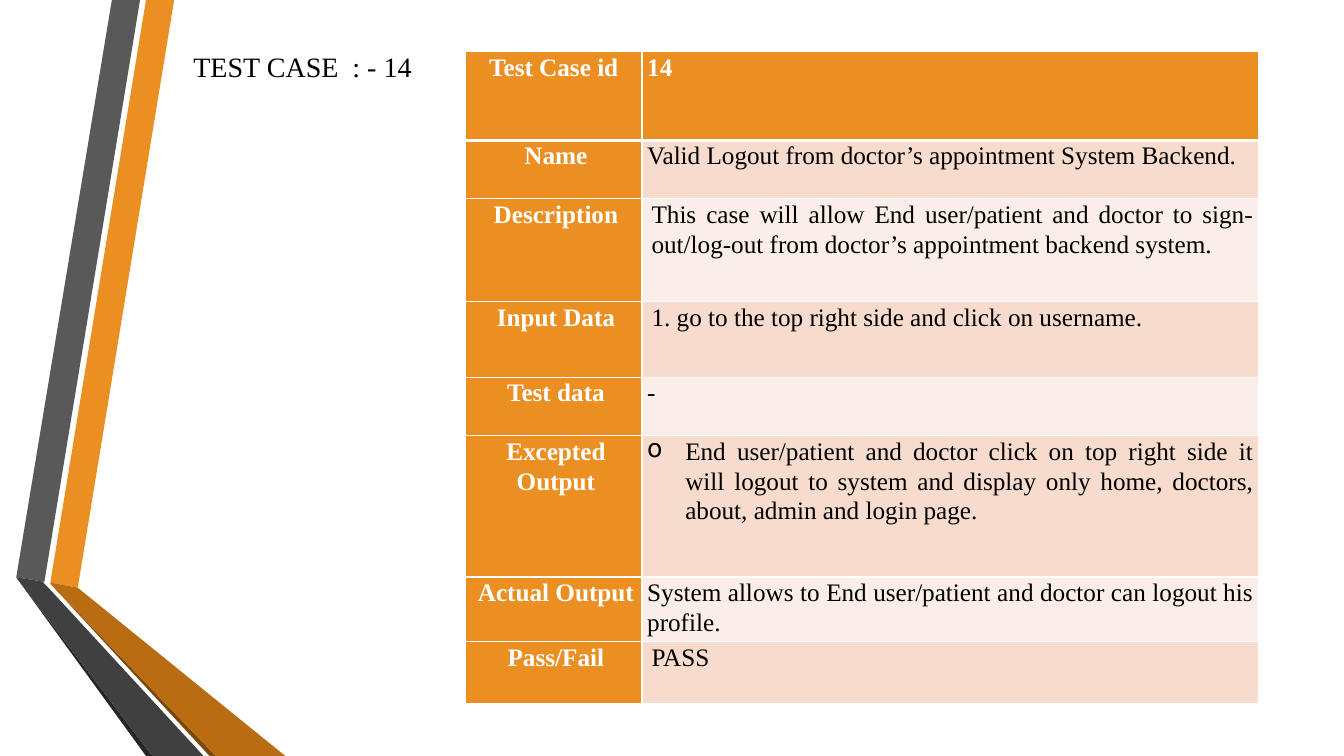
from dataclasses import dataclass

from lxml.etree import SubElement
from pptx import Presentation
from pptx.dml.color import RGBColor
from pptx.enum.text import MSO_ANCHOR, MSO_AUTO_SIZE, PP_ALIGN
from pptx.oxml.ns import qn
from pptx.slide import Slide
from pptx.table import _Cell
from pptx.util import Cm, Pt

FONT = "Times New Roman"
ORANGE = RGBColor(0xEB, 0x8F, 0x22)
AMBER = RGBColor(0xB9, 0x6C, 0x11)
BROWN = RGBColor(0x7B, 0x48, 0x0B)
GREY = RGBColor(0x59, 0x59, 0x59)
DARK_GREY = RGBColor(0x40, 0x40, 0x40)
CHARCOAL = RGBColor(0x26, 0x26, 0x26)
PEACH = RGBColor(0xF7, 0xDB, 0xCD)
PALE = RGBColor(0xFB, 0xEE, 0xE8)
WHITE = RGBColor(0xFF, 0xFF, 0xFF)
BLACK = RGBColor(0, 0, 0)

TABLE_LEFT, TABLE_TOP = 11.73, 1.3
COL_WIDTHS = (4.45, 15.54)
INDENT = 0.11


@dataclass
class Ribbon:
    color: RGBColor
    points: list[tuple[float, float]]


@dataclass
class Row:
    label: str
    value: str
    height: float
    indent: float = 0
    bullet: str = ""


RIBBONS = [
    Ribbon(ORANGE, [(1.27, 14.68), (1.96, 14.81), (4.39, 0), (3.68, 0)]),
    Ribbon(GREY, [(3.53, 0), (2.82, 0), (0.41, 14.55), (1.12, 14.66)]),
    Ribbon(CHARCOAL, [(0.41, 14.55), (3.68, 19.05), (3.84, 19.05)]),
    Ribbon(BROWN, [(1.27, 14.71), (5.28, 19.05), (5.44, 19.05)]),
    Ribbon(AMBER, [(1.27, 14.71), (5.44, 19.05), (7.19, 19.05), (1.96, 14.81), (1.27, 14.68)]),
    Ribbon(DARK_GREY, [(5.13, 19.05), (1.22, 14.81), (1.09, 14.68), (1.12, 14.66),
                       (0.41, 14.55), (3.84, 19.05)]),
]

ROWS = [
    Row("Test Case id", "14", 2.24),
    Row("Name", "Valid Logout from doctor’s appointment System Backend.", 1.47),
    Row("Description", "This case will allow End user/patient and doctor to sign-out/log-out "
        "from doctor’s appointment backend system.", 2.59, INDENT),
    Row("Input Data", "1. go to the top right side and click on username.", 1.91, INDENT),
    Row("Test data", "-", 1.47),
    Row("Excepted Output", "End user/patient and doctor click on top right side it will logout "
        "to system and display only home, doctors, about, admin and login page.",
        3.56, 0.96, "o"),
    Row("Actual Output", "System allows to End user/patient and doctor can logout his profile.", 1.55),
    Row("Pass/Fail", "PASS", 1.55, INDENT),
]


def set_attrs(target: object, formats: dict) -> None:
    for name, value in formats.items():
        setattr(target, name, value)


def add_ribbon(s: Slide, ribbon: Ribbon) -> None:
    start, *rest = [(Cm(x), Cm(y)) for x, y in ribbon.points]
    builder = s.shapes.build_freeform(*start, scale=1.0)
    builder.add_line_segments(rest, close=True)
    sp = builder.convert_to_shape()
    sp.shadow.inherit = False
    sp.fill.solid()
    sp.fill.fore_color.rgb = ribbon.color
    sp.line.fill.background()


def add_title(s: Slide, text: str) -> None:
    title = s.shapes.title
    set_attrs(title, {"left": Cm(4.62), "top": Cm(1.12), "width": Cm(6.12), "height": Cm(1.12)})
    tf = title.text_frame
    set_attrs(tf, {"text": text, "word_wrap": True, "vertical_anchor": MSO_ANCHOR.TOP,
                   "auto_size": MSO_AUTO_SIZE.SHAPE_TO_FIT_TEXT})
    p = tf.paragraphs[0]
    p.alignment = PP_ALIGN.LEFT
    set_attrs(p.runs[0].font, {"name": FONT, "size": Pt(20)})
    p.runs[0].font.color.rgb = BLACK


def set_borders(cell: _Cell, top: float, bottom: float) -> None:
    tc_pr = cell._tc.get_or_add_tcPr()
    for side, width in (("L", 1), ("R", 1), ("T", top), ("B", bottom)):
        ln = SubElement(tc_pr, qn(f"a:ln{side}"), w=str(Pt(width)))
        fill = SubElement(ln, qn("a:solidFill"))
        SubElement(fill, qn("a:srgbClr"), val=str(WHITE))


def fill_cell(cell: _Cell, text: str, align: PP_ALIGN, fill: RGBColor, color: RGBColor,
              indent: float, bullet: str = "") -> None:
    set_attrs(cell, {"text": text, "margin_left": Cm(0.13), "margin_right": Cm(0.13),
                     "margin_top": 0, "margin_bottom": 0})
    cell.fill.solid()
    cell.fill.fore_color.rgb = fill
    p = cell.text_frame.paragraphs[0]
    p_pr = p._p.get_or_add_pPr()
    p_pr.set("marL", str(Cm(indent)))
    if bullet:
        p_pr.set("indent", str(-Cm(indent)))
        SubElement(p_pr, qn("a:buChar"), char=bullet)
    set_attrs(p, {"alignment": align, "line_spacing": 1.07, "space_after": Pt(8)})
    font = p.runs[0].font
    set_attrs(font, {"name": FONT, "size": Pt(18), "bold": color == WHITE})
    font.color.rgb = color


def add_case_table(s: Slide) -> None:
    total_height = sum(row.height for row in ROWS)
    table = s.shapes.add_table(len(ROWS), len(COL_WIDTHS), Cm(TABLE_LEFT), Cm(TABLE_TOP),
                               Cm(sum(COL_WIDTHS)), Cm(total_height)).table
    table.horz_banding = False
    for column, width in zip(table.columns, COL_WIDTHS):
        column.width = Cm(width)
    for i, row in enumerate(ROWS):
        header = i == 0
        table.rows[i].height = Cm(row.height)
        label, value = table.cell(i, 0), table.cell(i, 1)
        for cell in (label, value):
            set_borders(cell, 3 if i == 1 else 1, 3 if header else 1)
        fill_cell(label, row.label, PP_ALIGN.CENTER, ORANGE, WHITE, 0 if header else INDENT)
        if header:
            fill_cell(value, row.value, PP_ALIGN.LEFT, ORANGE, WHITE, row.indent)
        else:
            band = PEACH if i % 2 else PALE
            fill_cell(value, row.value, PP_ALIGN.JUSTIFY, band, BLACK, row.indent, row.bullet)


def main() -> None:
    prs = Presentation()
    set_attrs(prs, {"slide_width": Cm(33.87), "slide_height": Cm(19.05)})
    s = prs.slides.add_slide(prs.slide_layouts[5])

    # Folded ribbons on the left
    for ribbon in RIBBONS:
        add_ribbon(s, ribbon)

    # Heading and test case table
    add_title(s, "TEST CASE  : - 14")
    add_case_table(s)
    prs.save("out.pptx")


if __name__ == "__main__":
    main()
